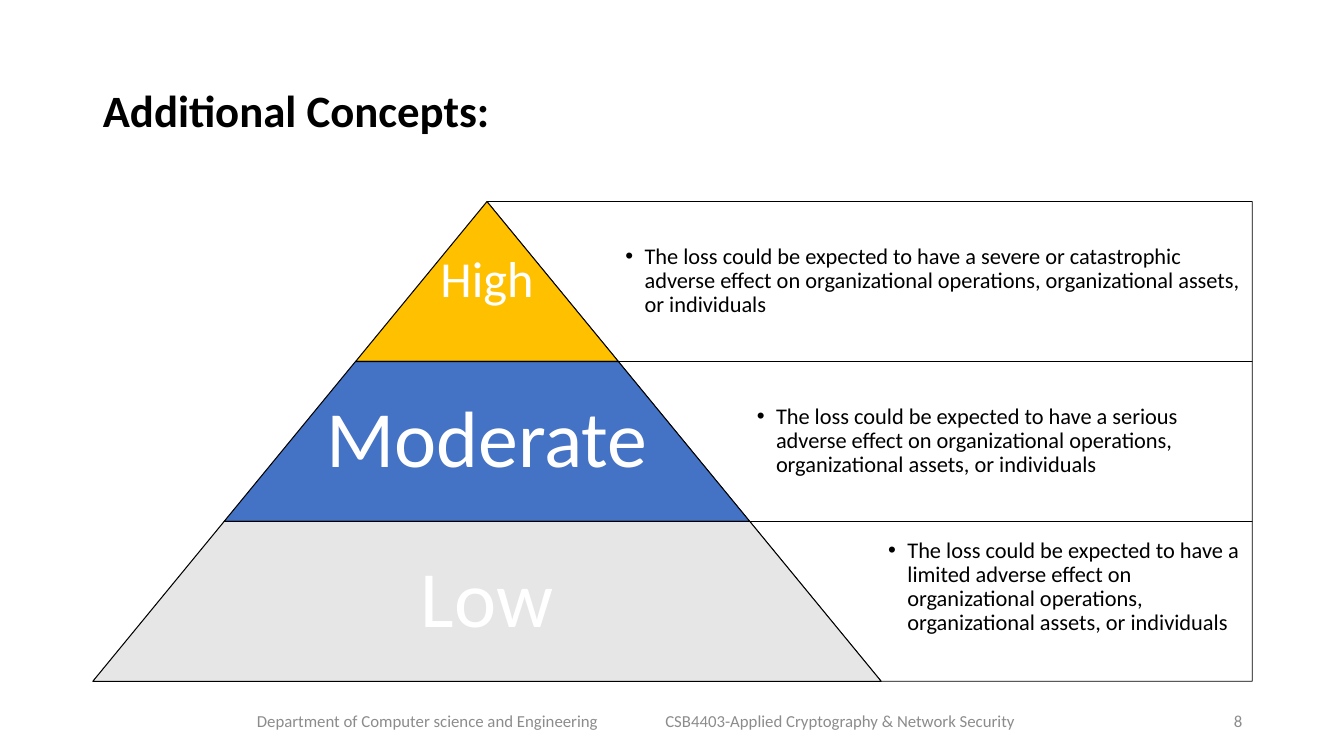
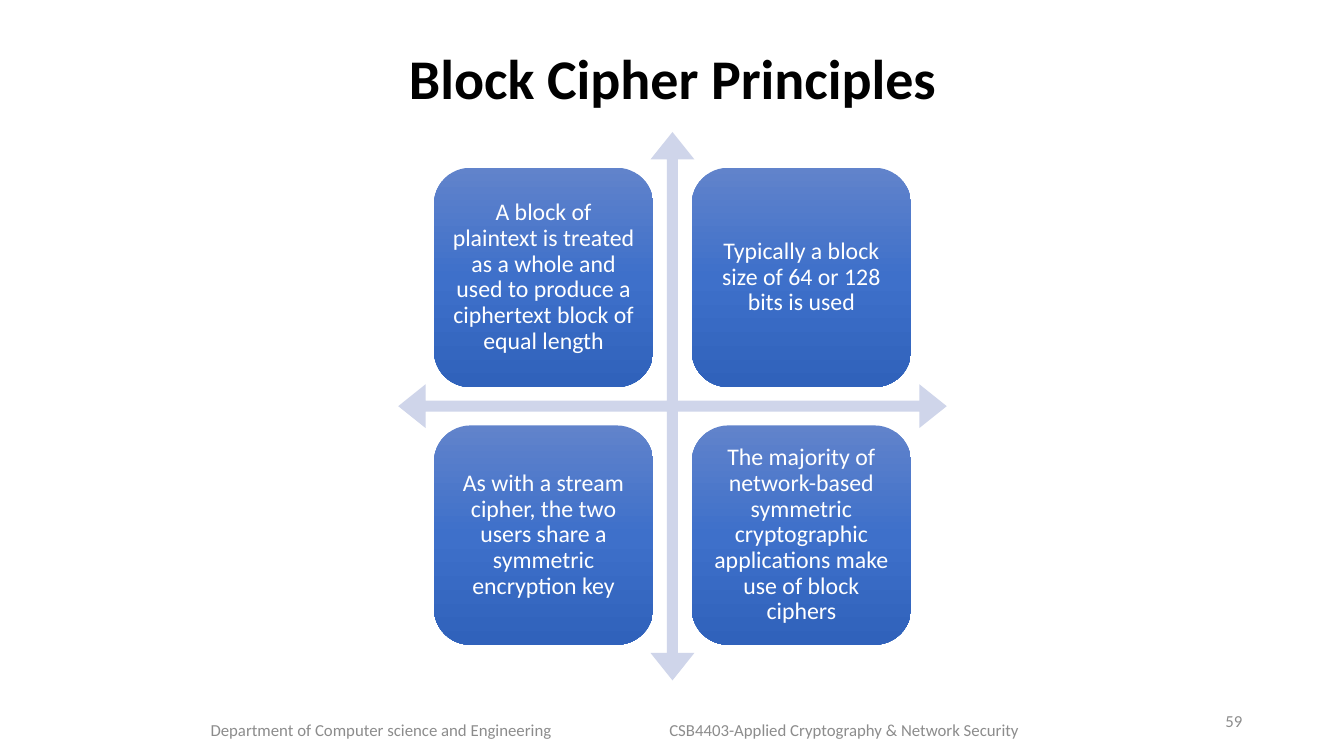
from copy import deepcopy

from lxml import etree
from pptx import Presentation
from pptx.dml.color import RGBColor
from pptx.enum.shapes import MSO_SHAPE
from pptx.enum.text import MSO_ANCHOR, PP_ALIGN
from pptx.oxml.ns import qn
from pptx.util import Inches, Pt

LEFT, CENTER, RIGHT = PP_ALIGN.LEFT, PP_ALIGN.CENTER, PP_ALIGN.RIGHT
MIDDLE = MSO_ANCHOR.MIDDLE
TRAPEZOID = MSO_SHAPE.TRAPEZOID
QUAD_ARROW = MSO_SHAPE.QUAD_ARROW
ROUNDED = MSO_SHAPE.ROUNDED_RECTANGLE

FONT = "Calibri"
BLACK, WHITE, GREY = "000000", "FFFFFF", "8C8C8C"
ARROW = "CFD5EA"
TILE_GRADIENT = ["6183CB", "3E70CA", "3062BB"]
MARGIN, CONTENT_W = 0.92, 11.5
TITLE_TOP = 0.4
NUMBER_TOP = 6.95
DEPARTMENT = "Department of Computer science and Engineering"
COURSE = "CSB4403-Applied Cryptography & Network Security"

# name, name size, fill, bottom inset of the description, description
LEVELS = [
    ("High", 36, "FFC000", 0.07,
     "The loss could be expected to have a severe or catastrophic adverse "
     "effect on organizational operations, organizational assets, or individuals"),
    ("Moderate", 57, "4472C4", 0.07,
     "The loss could be expected to have a serious adverse effect on "
     "organizational operations, organizational assets, or individuals"),
    ("Low", 57, "E7E6E6", 0.35,
     "The loss could be expected to have a limited adverse effect on "
     "organizational operations, organizational assets, or individuals"),
]
PRINCIPLES = [
    "A block of plaintext is treated as a whole and used to produce a "
    "ciphertext block of equal length",
    "Typically a block size of 64 or 128 bits is used",
    "As with a stream cipher, the two users share a symmetric encryption key",
    "The majority of network-based symmetric cryptographic applications make "
    "use of block ciphers",
]


def rgb(value):
    return RGBColor.from_string(value)


def inches(*values):
    return [Inches(v) for v in values]


def paint(sp, fill, line=None, width=0.75):
    """Flat fill, optional outline, no shadow."""
    sp.shadow.inherit = False
    sp.fill.solid()
    sp.fill.fore_color.rgb = rgb(fill)
    if line:
        sp.line.color.rgb = rgb(line)
        sp.line.width = Pt(width)
    else:
        sp.line.fill.background()


def write(sp, text, size, color, align=LEFT, bold=False, insets=None,
          spacing=0.9, bullet=False):
    """Set one formatted paragraph; insets are left, top, right, bottom."""
    tf = sp.text_frame
    tf.word_wrap = True
    tf.vertical_anchor = MIDDLE
    if insets:
        (tf.margin_left, tf.margin_top,
         tf.margin_right, tf.margin_bottom) = inches(*insets)
    tf.text = text
    p = tf.paragraphs[0]
    if bullet:
        indent = Inches(0.19)
        pPr = p._p.get_or_add_pPr()
        pPr.set("marL", str(indent))
        pPr.set("indent", str(-indent))
        etree.SubElement(pPr, qn("a:buFont")).set("typeface", "Arial")
        etree.SubElement(pPr, qn("a:buChar")).set("char", "•")
    p.alignment = align
    p.line_spacing = spacing
    font = p.runs[0].font
    font.name, font.size, font.bold = FONT, Pt(size), bold
    font.color.rgb = rgb(color)


def add_text(s, box, text, size, color, **style):
    write(s.shapes.add_textbox(*inches(*box)), text, size, color, **style)


def add_slide(prs, title, height, size, align):
    s = prs.slides.add_slide(prs.slide_layouts[5])
    sp = s.shapes.title
    sp.left, sp.top, sp.width, sp.height = inches(
        MARGIN, TITLE_TOP, CONTENT_W, height)
    write(sp, title, size, BLACK, align=align, bold=True)
    return s


def add_footer(s, top, department_x, course_x, number):
    for x, text in ((department_x, DEPARTMENT), (course_x, COURSE)):
        add_text(s, (x, top, 4, 0.4), text, 12, GREY, spacing=1)
    add_text(s, (MARGIN + CONTENT_W - 1, NUMBER_TOP, 1, 0.4), number, 12, GREY,
             align=RIGHT, spacing=1)


def add_pyramid(s, x, y, w, h):
    """Tiers widen by one step per side; each has a panel to the right edge."""
    base = w * 0.68
    step = base / 2 / len(LEVELS)
    tier_h = h / len(LEVELS)
    apex = x + base / 2
    for i, (name, size, fill, bottom, description) in enumerate(LEVELS):
        top = y + i * tier_h
        half = (i + 1) * step
        edge = apex + half
        corners = [(edge - step, top), (x + w, top),
                   (x + w, top + tier_h), (edge, top + tier_h)]
        start, *rest = [tuple(inches(*c)) for c in corners]
        builder = s.shapes.build_freeform(*start)
        builder.add_line_segments(rest, close=True)
        panel = builder.convert_to_shape()
        paint(panel, WHITE, BLACK, 0.5)
        write(panel, description, 16, BLACK, bullet=True,
              insets=(step + 0.07, 0.07, 0.07, bottom))

        box = (apex - half, top, 2 * half, tier_h)
        tier = s.shapes.add_shape(TRAPEZOID, *inches(*box))
        tier.adjustments[0] = step / min(2 * half, tier_h)
        paint(tier, fill, BLACK)
        add_text(s, box, name, size, WHITE, align=CENTER, insets=(0, 0, 0, 0))


def fill_gradient(sp, colors):
    """Spread the colours evenly from top to bottom."""
    sp.fill.gradient()
    sp.fill.gradient_angle = 270
    stops = sp._element.spPr.find(".//" + qn("a:gsLst"))
    while len(stops) < len(colors):
        stops.append(deepcopy(stops[0]))
    for i, (stop, color) in enumerate(zip(sp.fill.gradient_stops, colors)):
        stop.color.rgb = rgb(color)
        stop.position = i / (len(colors) - 1)


def add_matrix(s, x, y, side):
    """Four tiles in the quarters of a four-way arrow."""
    cross = s.shapes.add_shape(QUAD_ARROW, *inches(x, y, side, side))
    for i, share in enumerate((0.02, 0.04, 0.05)):
        cross.adjustments[i] = share
    paint(cross, ARROW)

    tile, margin = side * 0.4, side * 0.065
    pitch = side - 2 * margin - tile
    for i, text in enumerate(PRINCIPLES):
        row, col = divmod(i, 2)
        sp = s.shapes.add_shape(ROUNDED, *inches(
            x + margin + col * pitch, y + margin + row * pitch, tile, tile))
        sp.shadow.inherit = False
        sp.line.fill.background()
        fill_gradient(sp, TILE_GRADIENT)
        write(sp, text, 17, WHITE, align=CENTER, insets=[0.07] * 4)


def main():
    prs = Presentation()
    prs.slide_width, prs.slide_height = inches(13.33, 7.5)

    s = add_slide(prs, "Additional Concepts:", 1.45, 32, LEFT)
    add_footer(s, 6.95, 2.45, 6.5, "8")
    add_pyramid(s, MARGIN, 2, CONTENT_W, 4.76)

    s = add_slide(prs, "Block Cipher Principles", 0.82, 40, CENTER)
    add_footer(s, 7.04, 1.99, 6.54, "59")
    add_matrix(s, 3.95, 1.31, 5.44)

    prs.save("out.pptx")


if __name__ == "__main__":
    main()
